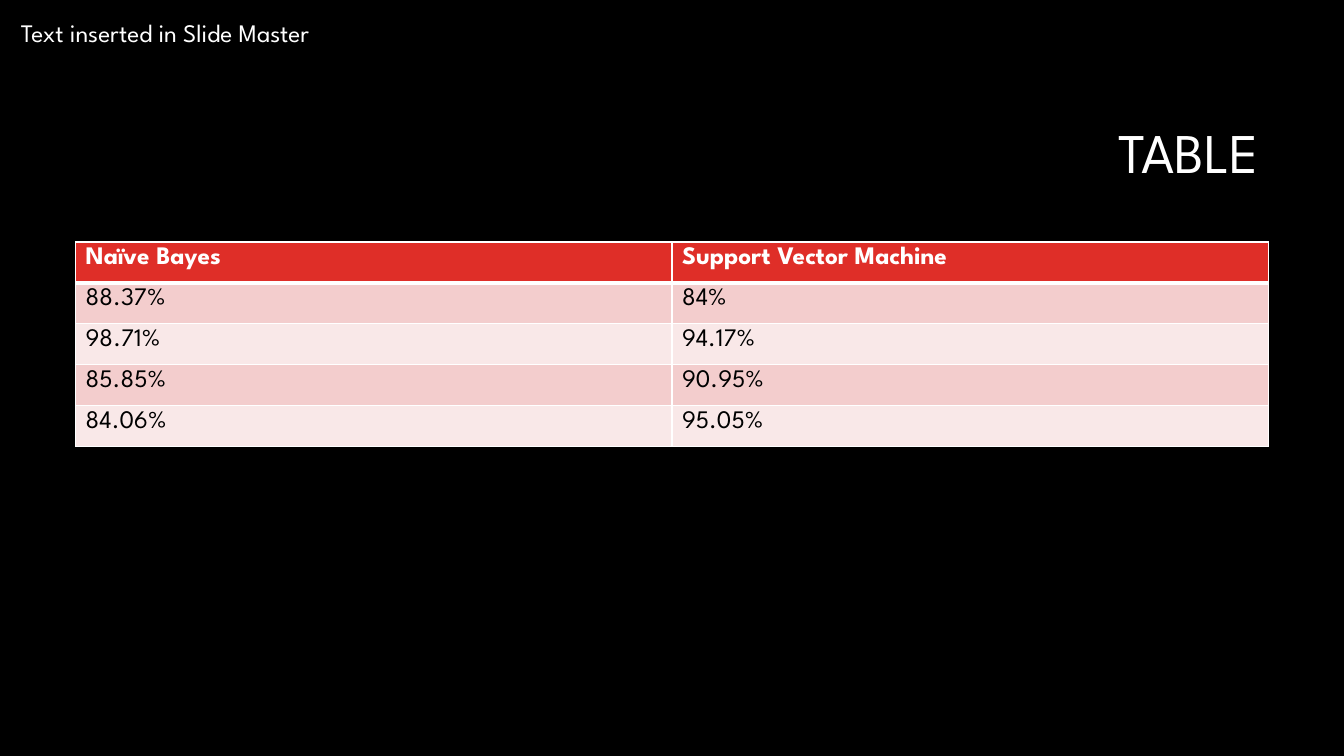
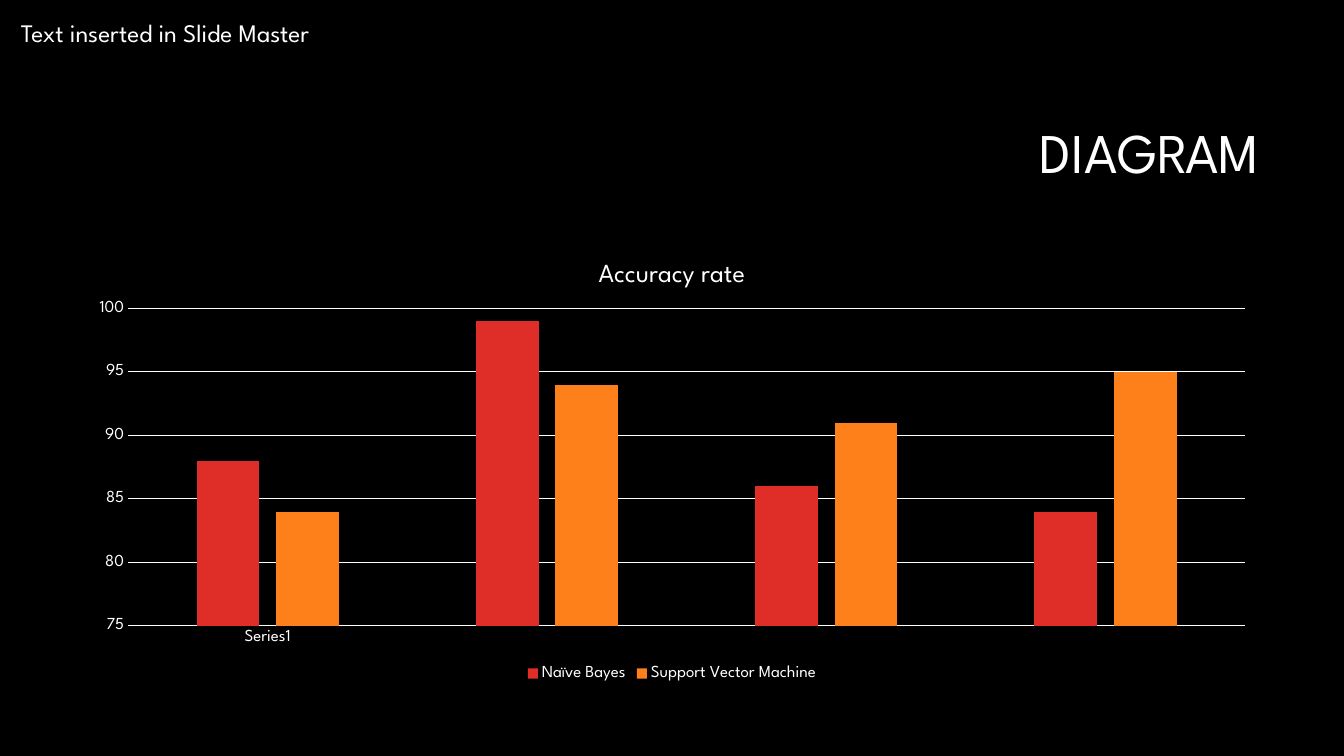
from lxml.etree import SubElement
from pptx import Presentation
from pptx.chart.data import CategoryChartData
from pptx.dml.color import RGBColor
from pptx.enum.chart import XL_CHART_TYPE, XL_LEGEND_POSITION, XL_TICK_MARK
from pptx.enum.text import MSO_ANCHOR, MSO_AUTO_SIZE, PP_ALIGN
from pptx.oxml import parse_xml
from pptx.oxml.ns import nsdecls, qn
from pptx.util import Inches, Pt

FONT = "League Spartan"
BLACK = RGBColor(0x00, 0x00, 0x00)
WHITE = RGBColor(0xFF, 0xFF, 0xFF)
RED = RGBColor(0xDF, 0x2E, 0x28)
ORANGE = RGBColor(0xFE, 0x80, 0x1A)
DARK_PINK = RGBColor(0xF3, 0xCD, 0xCD)
LIGHT_PINK = RGBColor(0xF9, 0xE8, 0xE8)

RATES = {
    "Naïve Bayes": ["88.37", "98.71", "85.85", "84.06"],
    "Support Vector Machine": ["84", "94.17", "90.95", "95.05"],
}
LEFT, TOP, WIDTH = Inches(0.75), Inches(2.4), Inches(11.83)
CHART_HEIGHT = Inches(4.4)


def write(frame, text, size=18, color=WHITE, bold=False, align=PP_ALIGN.LEFT, spacing=None):
    paragraph = frame.paragraphs[0]
    paragraph.alignment = align
    paragraph.line_spacing = spacing
    run = paragraph.add_run()
    run.text = text
    run.font.name = FONT
    run.font.size = Pt(size)
    run.font.bold = bold
    run.font.color.rgb = color


def set_borders(cell, **widths):
    properties = cell._tc.get_or_add_tcPr()
    for side in ("lnL", "lnR", "lnT", "lnB"):
        line = SubElement(properties, qn(f"a:{side}"), w=str(Pt(widths.get(side, 1))))
        fill = SubElement(line, qn("a:solidFill"))
        SubElement(fill, qn("a:srgbClr"), val=str(WHITE))


prs = Presentation()
prs.slide_width, prs.slide_height = Inches(13.33), Inches(7.5)

# Shared background and title position
master = prs.slide_master
master.background.fill.solid()
master.background.fill.fore_color.rgb = BLACK
layout = prs.slide_layouts.get_by_name("Title Only")
title_area = layout.placeholders[0]
title_area.left, title_area.top = Inches(3.17), Inches(0.84)
title_area.width, title_area.height = Inches(9.42), Inches(1.41)

# Slides with their titles
slides = []
for heading in ("TABLE", "DIAGRAM"):
    slide = prs.slides.add_slide(layout)
    title_frame = slide.shapes.title.text_frame
    title_frame.vertical_anchor = MSO_ANCHOR.MIDDLE
    write(title_frame, heading, size=40, align=PP_ALIGN.RIGHT, spacing=0.9)
    slides.append(slide)
table_slide, diagram_slide = slides

# Master text, moved from the first slide to the master
master_note = table_slide.shapes.add_textbox(Inches(0.11), Inches(0.12), Inches(5.06), Inches(0.4))
master_note.text_frame.word_wrap = True
master_note.text_frame.auto_size = MSO_AUTO_SIZE.SHAPE_TO_FIT_TEXT
write(master_note.text_frame, "Text inserted in Slide Master")
master.shapes.element.append(master_note.element)

# Table of accuracy rates
row_count = 1 + len(RATES["Naïve Bayes"])
rate_table = table_slide.shapes.add_table(
    row_count, len(RATES), LEFT, TOP, WIDTH, Inches(2.03)).table
for column, (method, rates) in enumerate(RATES.items()):
    for row, text in enumerate([method] + [f"{rate}%" for rate in rates]):
        cell = rate_table.cell(row, column)
        header = row == 0
        write(cell.text_frame, text, color=WHITE if header else BLACK, bold=header)
        set_borders(cell, lnT=3 if row == 1 else 1, lnB=3 if header else 1)
        cell.fill.solid()
        cell.fill.fore_color.rgb = RED if header else (LIGHT_PINK, DARK_PINK)[row % 2]

# Chart of the same rates, in whole percent
accuracy = CategoryChartData()
accuracy.categories = ["Series1", "", "", ""]
for method, rates in RATES.items():
    accuracy.add_series(method, [round(float(rate)) for rate in rates])
chart = diagram_slide.shapes.add_chart(
    XL_CHART_TYPE.COLUMN_CLUSTERED, LEFT, TOP, WIDTH, CHART_HEIGHT, accuracy).chart
chart.font.name = FONT
chart.font.size = Pt(12)
chart.font.color.rgb = WHITE
write(chart.chart_title.text_frame, "Accuracy rate", size=18.6, align=PP_ALIGN.CENTER)
chart.chart_title.include_in_layout = False

# Columns
columns = chart.plots[0]
columns.vary_by_categories = False
columns.gap_width, columns.overlap = 219, -27
for series, color in zip(columns.series, (RED, ORANGE)):
    series.format.fill.solid()
    series.format.fill.fore_color.rgb = color

# Axes, gridlines and legend
rate_axis, category_axis = chart.value_axis, chart.category_axis
rate_axis.minimum_scale, rate_axis.maximum_scale, rate_axis.major_unit = 75, 100, 5
rate_axis.tick_labels.number_format = "0"
rate_axis.tick_labels.number_format_is_linked = False
rate_axis.format.line.fill.background()
for axis in (rate_axis, category_axis):
    axis.major_tick_mark = axis.minor_tick_mark = XL_TICK_MARK.NONE
for line in (rate_axis.major_gridlines.format.line, category_axis.format.line):
    line.color.rgb = WHITE
    line.width = Pt(0.75)
chart.has_legend = True
chart.legend.position = XL_LEGEND_POSITION.BOTTOM
chart.legend.include_in_layout = False

# Plot area inside the chart
plot_area = chart.element.chart.plotArea
for old_layout in plot_area.findall(qn("c:layout")):
    plot_area.remove(old_layout)
plot_area.insert(0, parse_xml(
    f'<c:layout {nsdecls("c")}><c:manualLayout><c:layoutTarget val="inner"/>'
    '<c:xMode val="edge"/><c:yMode val="edge"/>'
    f'<c:x val="{Inches(0.52) / WIDTH}"/><c:y val="{Inches(0.66) / CHART_HEIGHT}"/>'
    f'<c:w val="{Inches(11.08) / WIDTH}"/><c:h val="{Inches(3.15) / CHART_HEIGHT}"/>'
    '</c:manualLayout></c:layout>'))

prs.save("out.pptx")
